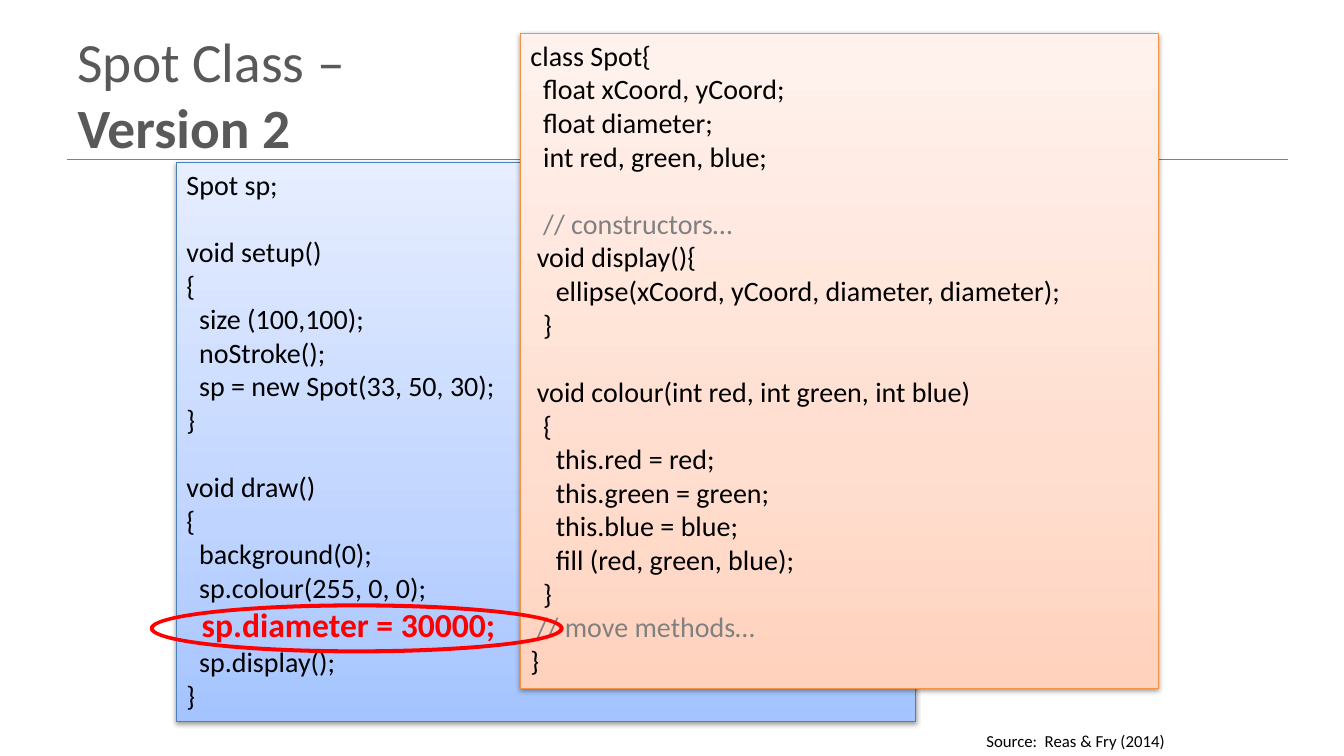
from dataclasses import dataclass

from lxml.etree import SubElement
from pptx import Presentation
from pptx.dml.color import RGBColor
from pptx.enum.shapes import MSO_CONNECTOR, MSO_SHAPE
from pptx.enum.text import MSO_ANCHOR, MSO_AUTO_SIZE, PP_ALIGN
from pptx.oxml.ns import qn
from pptx.util import Cm, Pt


@dataclass(frozen=True)
class Theme:
    font: str = "Calibri"
    head: str = "595959"
    rule: str = "808080"
    ink: str = "000000"
    note: str = "808080"
    alert: str = "FF0000"
    blue: tuple = ("A4C4FF", "BFD4FF", "E6EEFF")
    blue_edge: str = "4B7EBC"
    peach: tuple = ("FFD2BD", "FFDED0", "FFF2ED")
    peach_edge: str = "F69240"
    head_size: float = 39.6
    code_size: float = 20
    alert_size: float = 24
    source_size: float = 12


THEME = Theme()

MAIN_CODE = [
    "Spot sp;",
    "",
    "void setup()",
    "{",
    "  size (100,100);",
    "  noStroke();",
    "  sp = new Spot(33, 50, 30);",
    "}",
    "",
    "void draw()",
    "{",
    "  background(0);",
    "  sp.colour(255, 0, 0);",
    [("  sp.diameter = 30000;", THEME.alert, THEME.alert_size, True)],
    "  sp.display();",
    "}",
]

CLASS_CODE = [
    "class Spot{",
    "  float xCoord, yCoord;",
    "  float diameter;",
    "  int red, green, blue;",
    "",
    [("  ",), ("// constructors…", THEME.note)],
    " void display(){",
    "    ellipse(xCoord, yCoord, diameter, diameter);",
    "  }",
    "",
    " void colour(int red, int green, int blue)",
    "  {",
    "    this.red = red;",
    "    this.green = green;",
    "    this.blue = blue;",
    "    fill (red, green, blue);",
    "  }",
    [(" ",), ("// move methods…", THEME.note)],
    "}",
]


def place(left, top, width, height):
    return Cm(left), Cm(top), Cm(width), Cm(height)


def add_run(para, text, color=THEME.ink, size=THEME.code_size, bold=False):
    run = para.add_run()
    run.text = text
    run.font.name = THEME.font
    run.font.size = Pt(size)
    run.font.bold = bold
    run.font.color.rgb = RGBColor.from_string(color)


def add_rule(slide, left, right, top):
    rule = slide.shapes.add_connector(
        MSO_CONNECTOR.STRAIGHT, Cm(left), Cm(top), Cm(right), Cm(top))
    rule.line.color.rgb = RGBColor.from_string(THEME.rule)
    rule.line.width = Pt(1)
    SubElement(rule._element.spPr, qn("a:effectLst"))


def set_title(slide, first, second):
    title = slide.shapes.title
    title.left, title.top, title.width, title.height = place(1.7, 0.76, 30.48, 3.18)
    frame = title.text_frame
    frame.word_wrap = True
    frame.auto_size = MSO_AUTO_SIZE.NONE
    frame.vertical_anchor = MSO_ANCHOR.MIDDLE
    para = frame.paragraphs[0]
    para.alignment = PP_ALIGN.LEFT
    add_run(para, first, THEME.head, THEME.head_size)
    para.add_line_break()
    add_run(para, second, THEME.head, THEME.head_size, True)


def add_source(slide, text):
    frame = slide.shapes.add_textbox(*place(14.17, 18.29, 15.44, 0.76)).text_frame
    frame.word_wrap = True
    para = frame.paragraphs[0]
    para.alignment = PP_ALIGN.RIGHT
    add_run(para, text, size=THEME.source_size)


def shade(shape, colors):
    shape.fill.gradient()
    shape.fill.gradient_angle = 90
    stops = shape._element.spPr.find(qn("a:gradFill")).find(qn("a:gsLst"))
    for stop in list(stops):
        stops.remove(stop)
    for spot, color in zip((0, 35, 100), colors):
        stop = SubElement(stops, qn("a:gs"), pos=str(spot * 1000))
        SubElement(stop, qn("a:srgbClr"), val=color)


def cast_shadow(shape):
    shape.shadow.inherit = False
    effects = shape._element.spPr.find(qn("a:effectLst"))
    shadow = SubElement(
        effects, qn("a:outerShdw"), blurRad=str(Pt(3.1)), dist=str(Pt(1.6)),
        dir="5400000", rotWithShape="0")
    color = SubElement(shadow, qn("a:srgbClr"), val=THEME.ink)
    SubElement(color, qn("a:alpha"), val="38000")


def add_code(slide, box, colors, edge, lines):
    panel = slide.shapes.add_shape(MSO_SHAPE.RECTANGLE, *place(*box))
    shade(panel, colors)
    panel.line.color.rgb = RGBColor.from_string(edge)
    panel.line.width = Pt(0.75)
    cast_shadow(panel)
    frame = panel.text_frame
    frame.word_wrap = True
    frame.auto_size = MSO_AUTO_SIZE.SHAPE_TO_FIT_TEXT
    frame.vertical_anchor = MSO_ANCHOR.TOP
    for index, line in enumerate(lines):
        para = frame.add_paragraph() if index else frame.paragraphs[0]
        para.alignment = PP_ALIGN.LEFT
        if not line:
            SubElement(para._p, qn("a:endParaRPr"), sz=str(THEME.code_size * 100))
            continue
        for run in [(line,)] if isinstance(line, str) else line:
            add_run(para, *run)


def add_ring(slide):
    ring = slide.shapes.add_shape(MSO_SHAPE.DONUT, *place(3.81, 15.24, 10.36, 1.19))
    ring.adjustments[0] = 0.026
    ring.shadow.inherit = False
    ring.fill.solid()
    ring.fill.fore_color.rgb = RGBColor.from_string(THEME.alert)
    ring.line.color.rgb = RGBColor.from_string(THEME.alert)
    ring.line.width = Pt(2)


def main():
    deck = Presentation()
    deck.slide_width, deck.slide_height = Cm(33.87), Cm(19.05)
    slide = deck.slides.add_slide(deck.slide_layouts.get_by_name("Title Only"))
    add_rule(slide, 1.7, 32.46, 4.02)
    set_title(slide, "Spot Class – ", "Version 2")
    add_source(slide, "Source:  Reas & Fry (2014)")
    add_code(slide, (4.45, 4.09, 18.62, 14.1), THEME.blue, THEME.blue_edge, MAIN_CODE)
    add_code(slide, (13.12, 0.84, 16.08, 16.51), THEME.peach, THEME.peach_edge, CLASS_CODE)
    add_ring(slide)
    deck.save("out.pptx")


if __name__ == "__main__":
    main()
